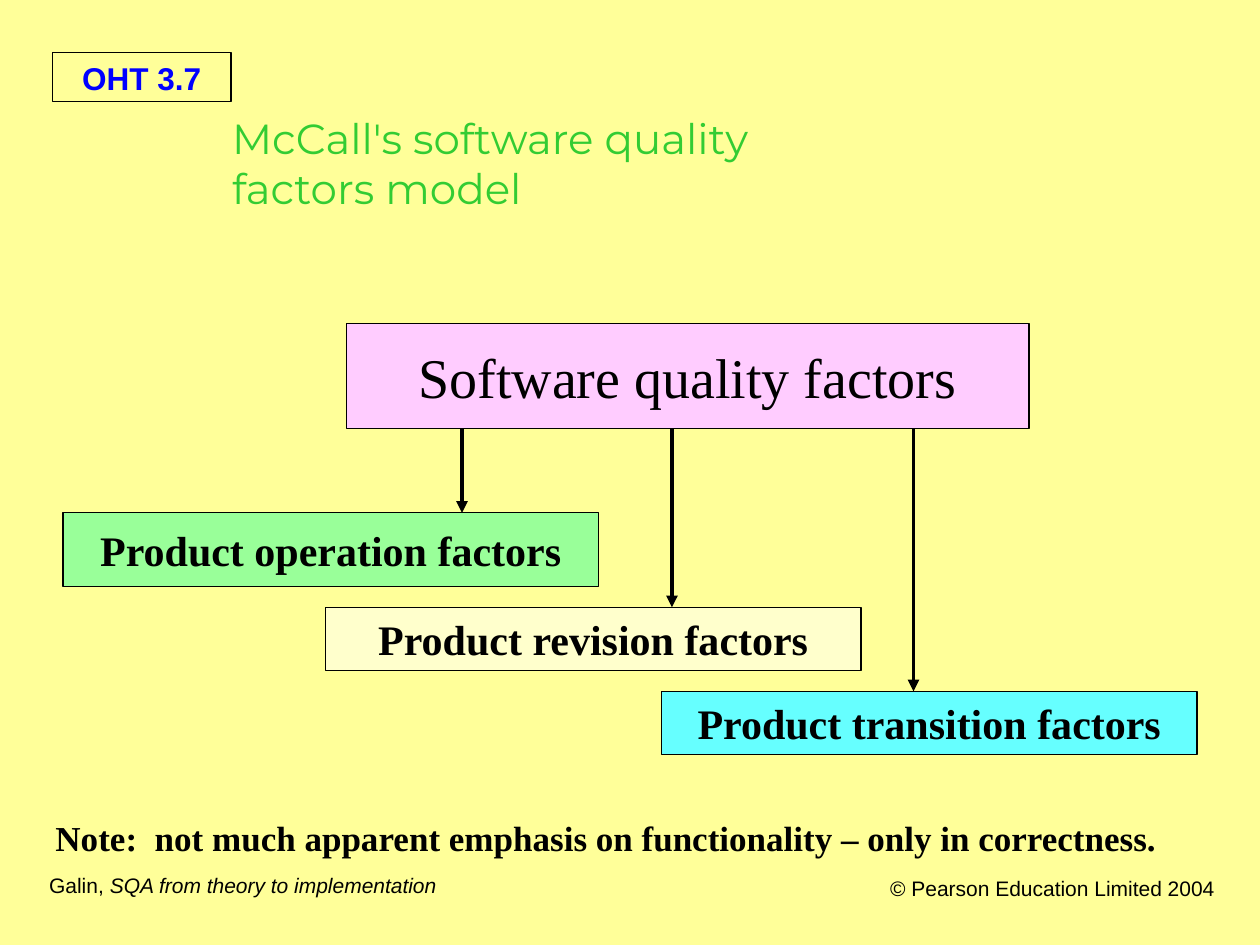
"""Build the slide on McCall's software quality factors model."""
from dataclasses import dataclass

from lxml.etree import SubElement
from pptx import Presentation
from pptx.dml.color import RGBColor
from pptx.enum.shapes import MSO_CONNECTOR, MSO_SHAPE
from pptx.enum.text import MSO_ANCHOR, MSO_AUTO_SIZE, PP_ALIGN
from pptx.oxml.ns import qn
from pptx.slide import Slide
from pptx.text.text import TextFrame
from pptx.util import Inches, Length, Pt

COLUMNS, ROWS = 120, 90
DIAGRAM_TOP = 30.84


@dataclass(frozen=True)
class Style:
    size: float
    font: str
    color: str
    bold: bool = False
    italic: bool = False


@dataclass(frozen=True)
class Theme:
    background: str = "FFFF99"
    line: str = "000000"
    border: float = 0.75
    arrow: float = 2.25
    title: Style = Style(24, "Montserrat", "33CC33")
    label: Style = Style(18, "Arial", "0000FF", bold=True)
    footer: Style = Style(12, "Arial", "000000")
    source: Style = Style(12, "Arial", "000000", italic=True)
    root: Style = Style(32, "Times New Roman", "000000")
    factor: Style = Style(24, "Times New Roman", "000000", bold=True)
    note: Style = Style(20, "Times New Roman", "000000", bold=True)


@dataclass(frozen=True)
class Area:
    column: float
    row: float
    columns: float
    rows: float

    def lengths(self) -> tuple[Length, Length, Length, Length]:
        return across(self.column), down(self.row), across(self.columns), down(self.rows)


@dataclass(frozen=True)
class Run:
    text: str
    style: Style


@dataclass(frozen=True)
class Factor:
    text: str
    fill: str
    column: float
    offset: float
    rows: float
    arrow_column: float


THEME = Theme()
WIDTH, HEIGHT = Inches(10), Inches(7.5)
ROOT_AREA = Area(33, DIAGRAM_TOP, 65, 10)
FACTOR_COLUMNS = 51
FACTORS = [
    Factor("Product operation factors", "99FF99", 6, 18, 7, 44),
    Factor("Product revision factors", "FFFFCC", 31, 27, 6, 64),
    Factor("Product transition factors", "66FFFF", 63, 35, 6, 87),
]


def across(columns: float) -> Length:
    return Length(round(WIDTH * columns / COLUMNS))


def down(rows: float) -> Length:
    return Length(round(HEIGHT * rows / ROWS))


def write(frame: TextFrame, lines: list[list[Run]], align: PP_ALIGN,
          anchor: MSO_ANCHOR = MSO_ANCHOR.TOP, wrap: bool = False) -> None:
    frame.auto_size = MSO_AUTO_SIZE.NONE
    frame.word_wrap = wrap
    frame.vertical_anchor = anchor
    for index, line in enumerate(lines):
        paragraph = frame.add_paragraph() if index else frame.paragraphs[0]
        paragraph.alignment = align
        for part in line:
            run = paragraph.add_run()
            run.text = part.text
            font = run.font
            font.size, font.name = Pt(part.style.size), part.style.font
            font.bold, font.italic = part.style.bold, part.style.italic
            font.color.rgb = RGBColor.from_string(part.style.color)


def add_title(slide: Slide, area: Area, lines: list[str]) -> None:
    title = slide.shapes.title
    title.left, title.top, title.width, title.height = area.lengths()
    write(title.text_frame, [[Run(line, THEME.title)] for line in lines], PP_ALIGN.LEFT)


def add_box(slide: Slide, area: Area, run: Run, fill: str | None = None,
            anchor: MSO_ANCHOR = MSO_ANCHOR.MIDDLE) -> None:
    shape = slide.shapes.add_shape(MSO_SHAPE.RECTANGLE, *area.lengths())
    shape.shadow.inherit = False
    if fill:
        shape.fill.solid()
        shape.fill.fore_color.rgb = RGBColor.from_string(fill)
    else:
        shape.fill.background()
    shape.line.color.rgb = RGBColor.from_string(THEME.line)
    shape.line.width = Pt(THEME.border)
    write(shape.text_frame, [[run]], PP_ALIGN.CENTER, anchor)


def add_text(slide: Slide, area: Area, runs: list[Run],
             align: PP_ALIGN = PP_ALIGN.LEFT, wrap: bool = False) -> None:
    shape = slide.shapes.add_textbox(*area.lengths())
    write(shape.text_frame, [runs], align, wrap=wrap)


def add_arrow(slide: Slide, column: float, start: float, end: float) -> None:
    arrow = slide.shapes.add_connector(
        MSO_CONNECTOR.STRAIGHT, across(column), down(start), across(column), down(end))
    arrow.line.color.rgb = RGBColor.from_string(THEME.line)
    arrow.line.width = Pt(THEME.arrow)
    SubElement(arrow.line._get_or_add_ln(), qn("a:tailEnd"), type="triangle")
    SubElement(arrow._element.spPr, qn("a:effectLst"))


def add_factor(slide: Slide, factor: Factor) -> None:
    top = DIAGRAM_TOP + factor.offset
    area = Area(factor.column, top, FACTOR_COLUMNS, factor.rows)
    add_box(slide, area, Run(factor.text, THEME.factor), factor.fill)
    add_arrow(slide, factor.arrow_column, ROOT_AREA.row + ROOT_AREA.rows, top)


def main() -> None:
    presentation = Presentation()
    presentation.slide_width, presentation.slide_height = WIDTH, HEIGHT
    slide = presentation.slides.add_slide(presentation.slide_layouts[5])
    slide.background.fill.solid()
    slide.background.fill.fore_color.rgb = RGBColor.from_string(THEME.background)

    add_title(slide, Area(20.9, 10.1, 82.7, 15.1),
              ["McCall's software quality", "factors model"])
    add_box(slide, Area(5, 5, 17, 4.7), Run("OHT 3.7", THEME.label), anchor=MSO_ANCHOR.TOP)
    add_box(slide, ROOT_AREA, Run("Software quality factors", THEME.root), "FFCCFF")
    for factor in FACTORS:
        add_factor(slide, factor)
    add_text(slide, Area(4.1, 77.2, 107.4, 5.3), [
        Run("Note:  not much apparent emphasis on functionality – only in correctness.",
            THEME.note)])
    add_text(slide, Area(3.5, 82.5, 39.4, 3.6), [
        Run("Galin, ", THEME.footer),
        Run("SQA from theory to implementation", THEME.source)])
    add_text(slide, Area(79.7, 82.8, 37.2, 4.7),
             [Run("© Pearson Education Limited 2004", THEME.footer)],
             PP_ALIGN.RIGHT, wrap=True)
    presentation.save("out.pptx")


if __name__ == "__main__":
    main()
